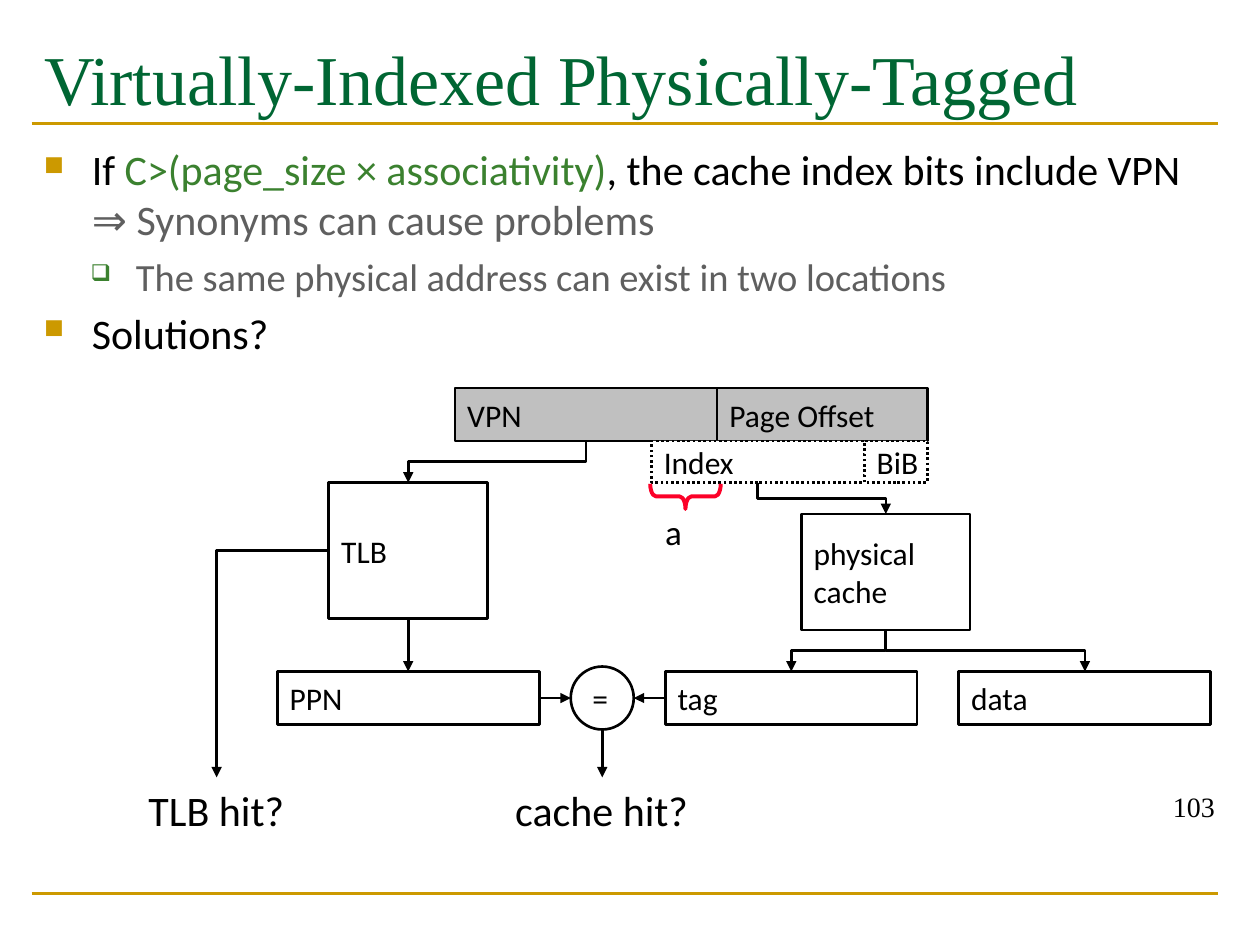
from dataclasses import dataclass

from lxml.etree import SubElement
from pptx import Presentation
from pptx.dml.color import RGBColor
from pptx.enum.dml import MSO_LINE
from pptx.enum.shapes import MSO_CONNECTOR, MSO_SHAPE
from pptx.enum.text import MSO_ANCHOR, PP_ALIGN
from pptx.oxml.ns import qn
from pptx.util import Emu, Pt

PX = 9144  # 100 px to the inch
TOP, LEFT, BOTTOM, RIGHT = range(4)
SANS, SERIF = "Calibri", "Times New Roman"
BLACK, WHITE, SILVER, GRAY = "000000", "FFFFFF", "C0C0C0", "5F5F5F"
GREEN, DARK_GREEN, GOLD, RED = "3B812F", "006633", "CC9900", "FC0128"


@dataclass(frozen=True)
class Node:
    text: str
    left: int
    top: int
    width: int
    height: int = 42
    fill: str = WHITE
    dotted: bool = False
    kind: MSO_SHAPE = MSO_SHAPE.RECTANGLE

    @property
    def center(self) -> int:
        return self.left + self.width // 2

    @property
    def middle(self) -> int:
        return self.top + self.height // 2

    @property
    def bottom(self) -> int:
        return self.top + self.height


@dataclass(frozen=True)
class Bullet:
    runs: tuple
    size: int
    character: str
    color: str
    percent: int
    margin: int
    indent: int
    level: int = 0


VPN = Node("VPN", 361, 308, 208, fill=SILVER)
OFFSET = Node("Page Offset", 569, 308, 167, fill=SILVER)
TLB = Node("TLB", 261, 383, 126, 108)
PPN = Node("PPN", 220, 533, 208)
INDEX = Node("Index", 517, 350, 169, 33, dotted=True)
BIB = Node("BiB", 686, 350, 50, 33, dotted=True)
CACHE = Node("physical\ncache", 636, 408, 134, 92)
TAG = Node("tag", 528, 533, 200)
DATA = Node("data", 761, 533, 200)
COMPARE = Node("=", 453, 529, 50, 50, kind=MSO_SHAPE.OVAL)
NODES = (VPN, OFFSET, TLB, PPN, INDEX, BIB, CACHE, TAG, DATA, COMPARE)
HIT_TOP = 617

SQUARE = dict(size=24, character="■", color=GOLD, percent=65, margin=38, indent=-38)
BULLETS = (
    Bullet((("If ", BLACK), ("C>(page_size × associativity)", GREEN),
            (", the cache index bits include VPN ", BLACK),
            ("⇒ Synonyms can cause problems", GRAY)), **SQUARE),
    Bullet((("The same physical address can exist in two locations", GRAY),),
           22, "❑", GREEN, 60, 73, -36, level=1),
    Bullet((("Solutions?", BLACK),), **SQUARE),
)


def px(*lengths: int) -> list:
    return [Emu(length * PX) for length in lengths]


def rgb(color: str) -> RGBColor:
    return RGBColor.from_string(color)


def style_font(font, size: int, color: str, name: str) -> None:
    font.size, font.name, font.color.rgb = Pt(size), name, rgb(color)


def write(shape, text: str, *, size=18, color=BLACK, font=SANS, wrap=False,
          align=PP_ALIGN.LEFT, anchor=MSO_ANCHOR.MIDDLE) -> None:
    frame = shape.text_frame
    frame.text = text
    frame.word_wrap, frame.vertical_anchor = wrap, anchor
    for paragraph in frame.paragraphs:
        paragraph.alignment = align
        style_font(paragraph.font, size, color, font)


def add_label(slide, text: str, box: tuple, **style) -> None:
    write(slide.shapes.add_textbox(*px(*box)), text, **style)


def add_node(slide, node: Node):
    shape = slide.shapes.add_shape(
        node.kind, *px(node.left, node.top, node.width, node.height))
    shape.shadow.inherit = False
    shape.fill.solid()
    shape.fill.fore_color.rgb = rgb(node.fill)
    shape.line.color.rgb = rgb(BLACK)
    shape.line.width = Pt(1.5)
    if node.dotted:
        shape.line.dash_style = MSO_LINE.ROUND_DOT
    write(shape, node.text)
    return shape


def add_line(slide, start: tuple, end: tuple, *, color=BLACK, arrow=True,
             kind=MSO_CONNECTOR.STRAIGHT):
    connector = slide.shapes.add_connector(kind, *px(*start, *end))
    connector.line.color.rgb = rgb(color)
    connector.line.width = Pt(1.5)
    if arrow:
        SubElement(connector.line._get_or_add_ln(), qn("a:tailEnd"), type="triangle")
    SubElement(connector._element.spPr, qn("a:effectLst"))
    return connector


def add_down_elbow(slide, start: tuple, end: tuple) -> None:
    """Draw a down-across-down connector: a turned elbow about the same centre."""
    connector = add_line(slide, start, end, kind=MSO_CONNECTOR.ELBOW)
    across, down = abs(end[0] - start[0]), end[1] - start[1]
    transform = connector._element.spPr.find(qn("a:xfrm"))
    transform.attrib.pop("flipH", None)
    if end[0] > start[0]:
        transform.set("flipH", "1")
    transform.set("rot", str((270 if end[0] > start[0] else 90) * 60000))
    connector.left = Emu((start[0] + end[0] - down) * PX // 2)
    connector.top = Emu((start[1] + end[1] - across) * PX // 2)
    connector.width, connector.height = px(down, across)


def add_bullets(slide) -> None:
    frame = slide.shapes.add_textbox(*px(25, 109, 942, 568)).text_frame
    frame.word_wrap = True
    for number, bullet in enumerate(BULLETS):
        paragraph = frame.add_paragraph() if number else frame.paragraphs[0]
        paragraph.level = bullet.level
        if number:
            paragraph.space_before = Pt(4.8)
        properties = paragraph._p.get_or_add_pPr()
        properties.set("marL", str(bullet.margin * PX))
        properties.set("indent", str(bullet.indent * PX))
        bullet_color = SubElement(properties, qn("a:buClr"))
        SubElement(bullet_color, qn("a:srgbClr"), val=bullet.color)
        SubElement(properties, qn("a:buSzPct"), val=str(bullet.percent * 1000))
        SubElement(properties, qn("a:buChar"), char=bullet.character)
        for text, color in bullet.runs:
            run = paragraph.add_run()
            run.text = text
            style_font(run.font, bullet.size, color, SANS)


def add_diagram(slide) -> None:
    shapes = {node: add_node(slide, node) for node in NODES}

    # Elbows between the stages
    for source, target in ((VPN, TLB), (INDEX, CACHE), (CACHE, TAG), (CACHE, DATA)):
        add_down_elbow(slide, (source.center, source.bottom), (target.center, target.top))
    hit = add_line(slide, (TLB.left, TLB.middle), (172, HIT_TOP), kind=MSO_CONNECTOR.ELBOW)
    hit._element.spPr.find(qn("a:prstGeom")).set("prst", "bentConnector2")

    # Straight arrows
    translate = add_line(slide, (TLB.center, TLB.bottom), (PPN.center, PPN.top))
    translate.begin_connect(shapes[TLB], BOTTOM)
    translate.end_connect(shapes[PPN], TOP)
    for node, side, begin, end in (
            (PPN, RIGHT, PPN.left + PPN.width, COMPARE.left),
            (TAG, LEFT, TAG.left, COMPARE.left + COMPARE.width)):
        arrow = add_line(slide, (begin, node.middle), (end, COMPARE.middle))
        arrow.begin_connect(shapes[node], side)
    add_line(slide, (COMPARE.center, COMPARE.bottom), (COMPARE.center, HIT_TOP))

    # Outcomes, and the index bits that overlap the VPN
    add_label(slide, "TLB hit?", (108, HIT_TOP, 129, 51), size=24)
    add_label(slide, "cache hit?", (399, HIT_TOP, 159, 51), size=24)
    brace = slide.shapes.add_shape(MSO_SHAPE.RIGHT_BRACE, *px(534, 366, 20, 56))
    brace.rotation = 90
    brace.adjustments[0], brace.adjustments[1] = 0.23, 0.5
    brace.shadow.inherit = False
    brace.fill.background()
    brace.line.color.rgb = rgb(RED)
    brace.line.width = Pt(2.25)
    add_label(slide, "a", (518, 405, 33, 34), size=20)


def main() -> None:
    presentation = Presentation()
    presentation.slide_width, presentation.slide_height = px(1000, 750)
    slide = presentation.slides.add_slide(presentation.slide_layouts[5])

    # Title, rules and page number
    for y in (98, 709):
        add_line(slide, (25, y), (967, y), color=GOLD, arrow=False)
    title = slide.shapes.title
    title.left, title.top, title.width, title.height = px(25, 23, 942, 75)
    write(title, "Virtually-Indexed Physically-Tagged", size=40, color=DARK_GREEN,
          font=SERIF, wrap=True, anchor=MSO_ANCHOR.TOP)
    add_label(slide, "103", (741, 608, 233, 50), size=16, font=SERIF, wrap=True,
              align=PP_ALIGN.RIGHT, anchor=MSO_ANCHOR.BOTTOM)

    add_bullets(slide)
    add_diagram(slide)
    presentation.save("out.pptx")


if __name__ == "__main__":
    main()
